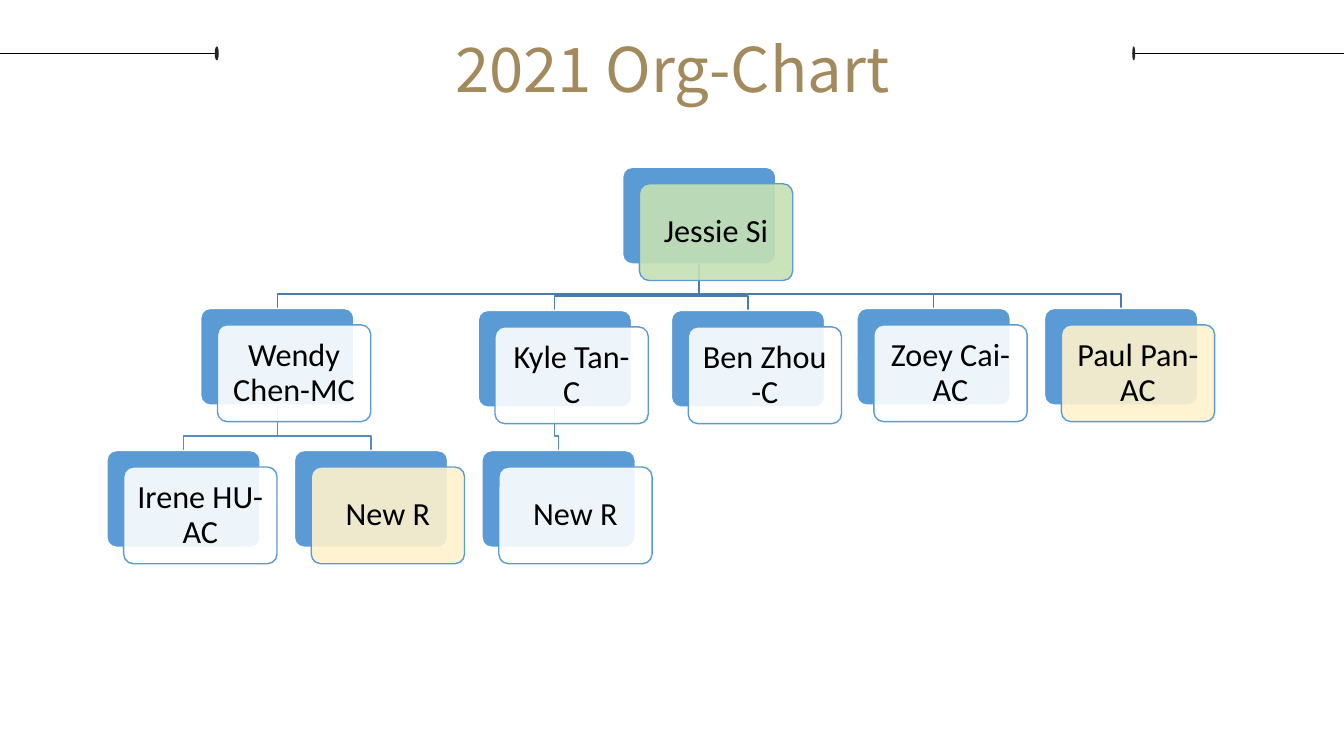
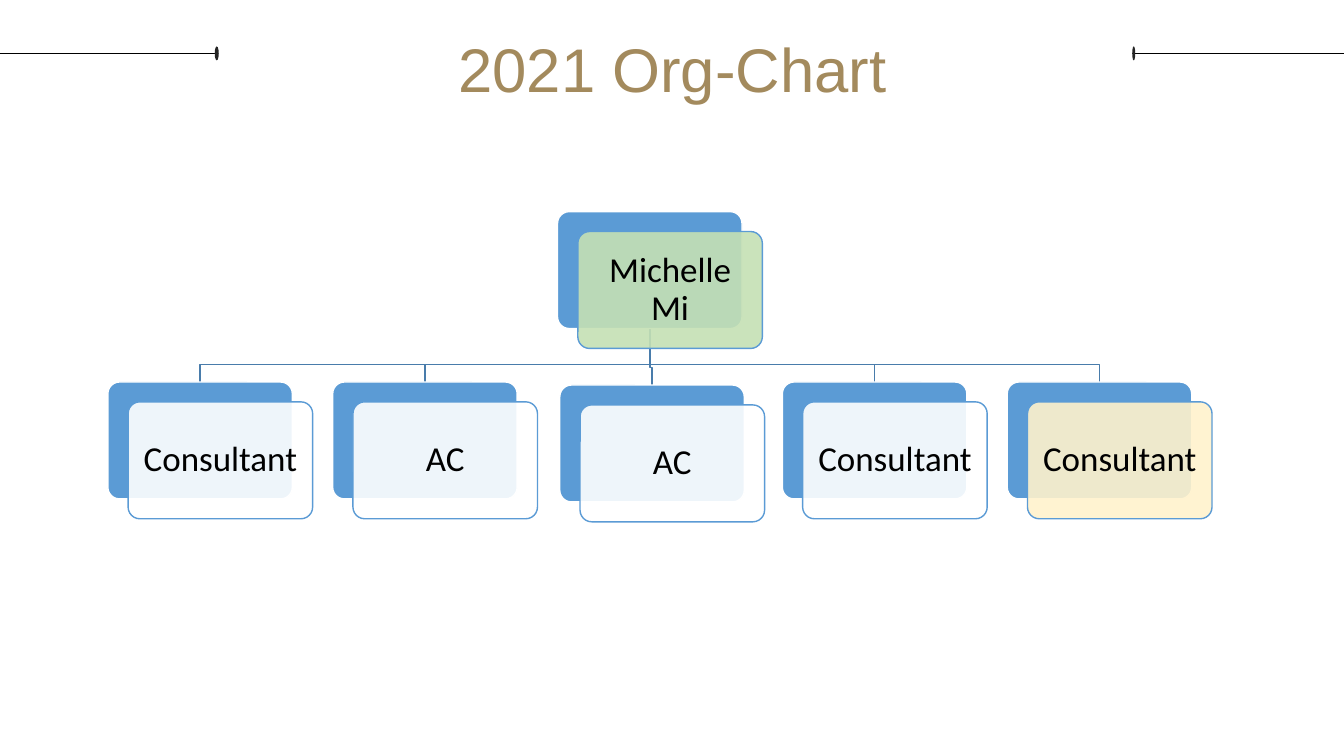
"""Build two organisation-chart slides."""
from dataclasses import dataclass

from lxml import etree
from pptx import Presentation
from pptx.dml.color import RGBColor
from pptx.enum.shapes import MSO_CONNECTOR, MSO_SHAPE
from pptx.enum.text import MSO_ANCHOR, MSO_AUTO_SIZE, PP_ALIGN
from pptx.oxml.ns import qn
from pptx.util import Inches, Pt

STRAIGHT = MSO_CONNECTOR.STRAIGHT
ELLIPSE, ROUNDED = MSO_SHAPE.OVAL, MSO_SHAPE.ROUNDED_RECTANGLE
TOP, MIDDLE = MSO_ANCHOR.TOP, MSO_ANCHOR.MIDDLE
GROW, CENTER = MSO_AUTO_SIZE.SHAPE_TO_FIT_TEXT, PP_ALIGN.CENTER

SLIDE_WIDTH, SLIDE_HEIGHT = 13.33, 7.5
TITLE_BOX = (2.1, -0.11, 9.14, 1.08)
RULE_Y, KNOB_HEIGHT = 0.53, 0.14
RULES = ((-0.02, 2.14, 2.13, 0.04), (11.25, SLIDE_WIDTH, 11.23, 0.03))
GOLD, BLACK, CHARCOAL, WHITE = "A38A5D", "000000", "252525", "FFFFFF"
BLUE, GREEN, CREAM = "5B9BD5", "C5E0B4", "FFF2CC"
BRANCH_COLORS = ("497CAB", "538DC1")
CARD_FONT = "Calibri"
SHIFT_X, SHIFT_Y, BEND = 0.11, 0.17, 0.15


@dataclass
class Grid:
    """Card size, column origin and pitch, row tops and text size of a chart."""
    left: float
    pitch: float
    rows: tuple
    width: float
    height: float
    text_size: int


@dataclass
class Person:
    """A card, its place on the grid and the index of its manager."""
    label: str
    column: float
    row: int
    manager: int = -1
    tint: str = WHITE
    drop: float = 0


TEAM_GRID = Grid(1.06, 1.86, (1.66, 3.06, 4.47), 1.52, 0.96, 23)
TEAM = (
    Person("Jessie Si", 2.75, 0, tint=GREEN),
    Person("Wendy Chen-MC", 0.5, 1, 0),
    Person("Irene HU-AC", 0, 2, 1),
    Person("New R", 1, 2, 1, CREAM),
    Person("Kyle Tan-C", 1.98, 1, 0, drop=0.02),
    Person("New R", 2, 2, 4),
    Person("Ben Zhou -C", 3.01, 1, 0, drop=0.02),
    Person("Zoey Cai-AC", 4, 1, 0),
    Person("Paul Pan-AC", 5, 1, 0, CREAM),
)
ROLE_GRID = Grid(1.07, 2.23, (2.1, 3.79), 1.83, 1.16, 25)
ROLES = (
    Person("Michelle Mi", 2, 0, tint=GREEN),
    Person("Consultant", 0, 1, 0),
    Person("AC", 1, 1, 0),
    Person("AC", 2.01, 1, 0, drop=0.03),
    Person("Consultant", 3, 1, 0),
    Person("Consultant", 4, 1, 0, CREAM),
)


def color(value):
    """Turn a hex string into a colour."""
    return RGBColor.from_string(value)


def set_line(shape, value, points):
    """Give a shape or connector a solid line."""
    shape.line.color.rgb = color(value)
    shape.line.width = Pt(points)


def set_text(text_frame, text, font, size, value, spacing):
    """Write one centred, formatted paragraph."""
    text_frame.text = text
    text_frame.word_wrap = True
    paragraph = text_frame.paragraphs[0]
    paragraph.alignment = CENTER
    paragraph.line_spacing = spacing
    run_font = paragraph.runs[0].font
    run_font.name, run_font.size = font, Pt(size)
    run_font.color.rgb = color(value)


def add_filled(slide, kind, box, fill):
    """Add a preset shape with a plain fill and no shadow."""
    shape = slide.shapes.add_shape(kind, *map(Inches, box))
    shape.shadow.inherit = False
    shape.fill.solid()
    shape.fill.fore_color.rgb = color(fill)
    return shape


def add_rule(slide, start, end, knob_left, knob_width):
    """Add a header rule that ends in a small knob."""
    rule = slide.shapes.add_connector(
        STRAIGHT, Inches(start), Inches(RULE_Y), Inches(end), Inches(RULE_Y))
    set_line(rule, BLACK, 0.75)
    etree.SubElement(rule.element.spPr, qn("a:effectLst"))
    knob_box = (knob_left, RULE_Y - KNOB_HEIGHT / 2, knob_width, KNOB_HEIGHT)
    knob = add_filled(slide, ELLIPSE, knob_box, CHARCOAL)
    knob.line.fill.background()


def add_titled_slide(presentation, title, font):
    """Add a slide with the shared title style and header rules."""
    slide = presentation.slides.add_slide(presentation.slide_layouts[5])
    placeholder = slide.shapes.title
    (placeholder.left, placeholder.top,
     placeholder.width, placeholder.height) = map(Inches, TITLE_BOX)
    set_text(placeholder.text_frame, title, font, 44, GOLD, 1.5)
    placeholder.text_frame.vertical_anchor = TOP
    placeholder.text_frame.auto_size = GROW
    for rule in RULES:
        add_rule(slide, *rule)
    return slide


def card_corner(grid, person):
    """Return the left and top of a person's back card."""
    return (grid.left + person.column * grid.pitch,
            grid.rows[person.row] + person.drop)


def add_branch(slide, grid, manager, person):
    """Draw the elbow line from a manager down to a person."""
    manager_left, manager_top = card_corner(grid, manager)
    left, top = card_corner(grid, person)
    start_x, end_x = manager_left + grid.width / 2, left + grid.width / 2
    start_y, bend_y = manager_top + grid.height, top - BEND * grid.height
    corners = ((start_x, start_y), (start_x, bend_y),
               (end_x, bend_y), (end_x, top))
    points = [(Inches(x), Inches(y)) for x, y in corners]
    builder = slide.shapes.build_freeform(*points[0])
    builder.add_line_segments(points[1:], close=False)
    branch = builder.convert_to_shape()
    branch.shadow.inherit = False
    branch.fill.background()
    set_line(branch, BRANCH_COLORS[manager.row], 1)


def add_card(slide, grid, person):
    """Add a blue back card and a translucent labelled front card."""
    left, top = card_corner(grid, person)
    size = (grid.width, grid.height)
    back = add_filled(slide, ROUNDED, (left, top, *size), BLUE)
    set_line(back, WHITE, 1)
    front_corner = (left + SHIFT_X * grid.width, top + SHIFT_Y * grid.height)
    front = add_filled(slide, ROUNDED, (*front_corner, *size), person.tint)
    set_line(front, BLUE, 1)
    tint = front.element.spPr.find(qn("a:solidFill"))[0]
    etree.SubElement(tint, qn("a:alpha"), val="90000")
    for card in (back, front):
        card.adjustments[0] = 0.1
    text_frame = front.text_frame
    text_frame.margin_left = text_frame.margin_right = Inches(0.1)
    text_frame.margin_top = text_frame.margin_bottom = Inches(0.1)
    text_frame.vertical_anchor = MIDDLE
    set_text(text_frame, person.label, CARD_FONT, grid.text_size, BLACK, 0.9)


def add_org_chart(slide, grid, people):
    """Draw all branches, then the cards over them."""
    for person in people:
        if person.manager >= 0:
            add_branch(slide, grid, people[person.manager], person)
    for person in people:
        add_card(slide, grid, person)


def main():
    """Build and save the presentation."""
    presentation = Presentation()
    presentation.slide_width = Inches(SLIDE_WIDTH)
    presentation.slide_height = Inches(SLIDE_HEIGHT)
    for font, grid, people in (("Noto Sans CJK SC", TEAM_GRID, TEAM),
                               ("Arial", ROLE_GRID, ROLES)):
        slide = add_titled_slide(presentation, "2021 Org-Chart", font)
        add_org_chart(slide, grid, people)
    presentation.save("out.pptx")


main()
